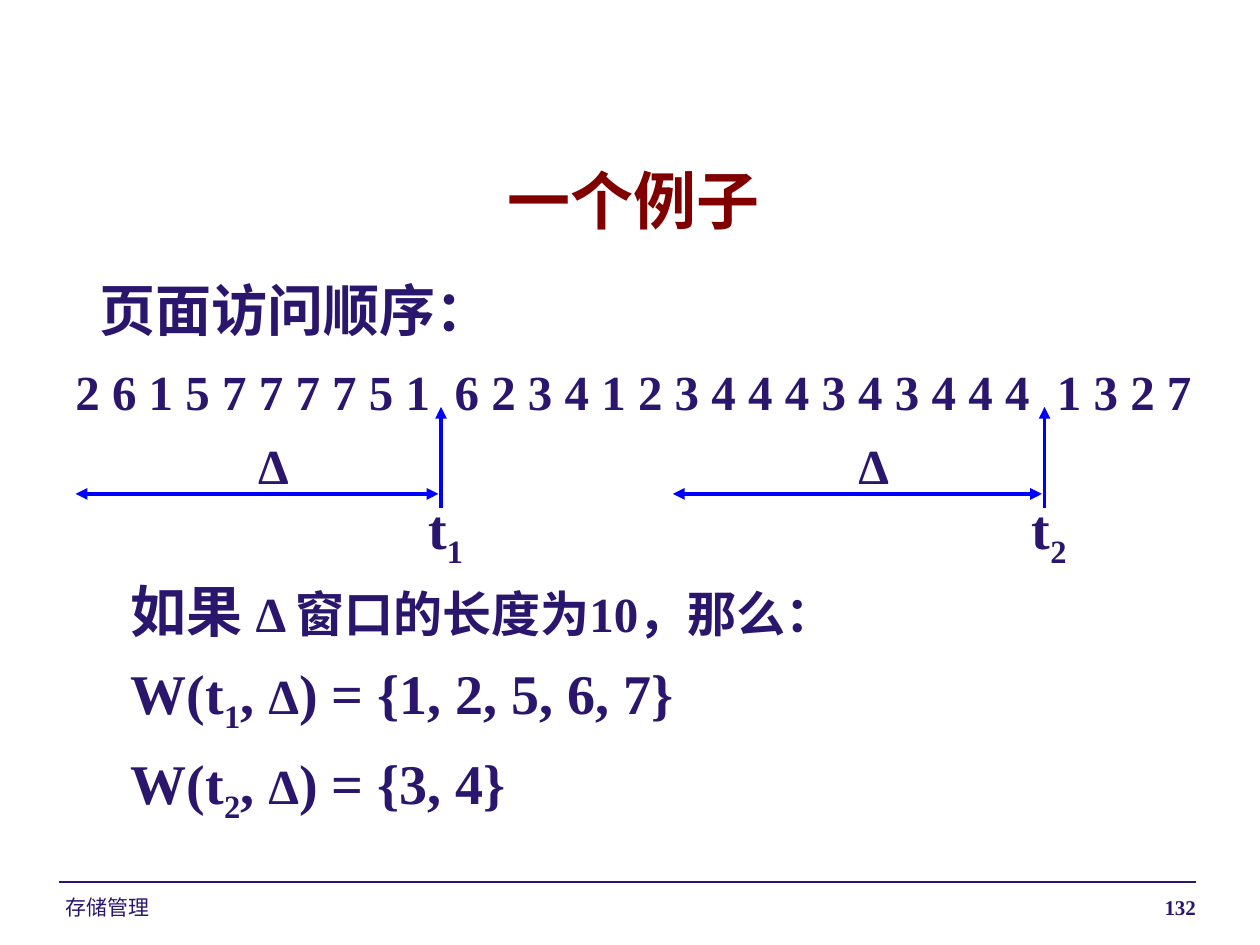
import pptx
import pptx.util
import pptx.dml.color
import pptx.enum.shapes
import pptx.enum.text
import pptx.oxml.ns
import lxml.etree

HUE = {"ink": "2B166E", "title": "800000", "arrow": "0000FF"}
SERIF, SANS, HAN = "Times New Roman", "Arial", "Noto Sans CJK SC"
ALIGN = pptx.enum.text.PP_ALIGN
WIDE, HIGH = pptx.util.Inches(10), pptx.util.Inches(7.5)
COL, ROW = WIDE / 100, HIGH / 75


def grid(x, y):
    return round(x * COL), round(y * ROW)


def tint(hue):
    return pptx.dml.color.RGBColor.from_string(HUE[hue])


def node(host, tag, **attrs):
    return lxml.etree.SubElement(host, pptx.oxml.ns.qn(tag), attrs)


def write(para, parts, hue="ink", face=SERIF, bold=True):
    for text, size, *low in parts:
        run = para.add_run()
        run.text = text
        font = run.font
        font.size, font.name, font.bold = pptx.util.Pt(size), face, bold
        font.color.rgb = tint(hue)
        props = font._element
        node(props, "a:ea", typeface=HAN)
        if low:
            props.set("baseline", "-25000")


def label(host, box, parts, wrap=False, align=ALIGN.LEFT, **style):
    x, y, w, h = box
    shape = host.shapes.add_textbox(*grid(x, y), *grid(w, h))
    frame = shape.text_frame
    frame.word_wrap = wrap
    para = frame.paragraphs[0]
    para.alignment = align
    write(para, parts, **style)
    return frame


def line(host, start, end, hue, width, heads=()):
    link = host.shapes.add_connector(
        pptx.enum.shapes.MSO_CONNECTOR.STRAIGHT, *grid(*start), *grid(*end))
    link.line.color.rgb = tint(hue)
    link.line.width = pptx.util.Pt(width)
    for head in heads:
        node(link.line._get_or_add_ln(), head, type="triangle")
    node(link._element.spPr, "a:effectLst")


def title(slide, box):
    x, y, w, h = box
    shape = slide.shapes.title
    shape.left, shape.top = grid(x, y)
    shape.width, shape.height = grid(w, h)
    frame = shape.text_frame
    frame.word_wrap = True
    frame.vertical_anchor = pptx.enum.text.MSO_ANCHOR.TOP
    para = frame.paragraphs[0]
    para.alignment = ALIGN.CENTER
    write(para, [("一个例子", 36)], hue="title", face=HAN)


def order(slide, box):
    x, y, w, h = box
    label(slide, (x + 1.9, y, 33.2, 6.3), [("页面访问顺序：", 32)])
    text = "2 6 1 5 7 7 7 7 5 1\t6 2 3 4 1 2 3 4 4 4 3 4 3 4 4 4\t1 3 2 7"
    frame = label(slide, (x, y + 6.8, w, h - 6.8), [(text, 28)], wrap=True)
    stops = node(frame.paragraphs[0]._p.get_or_add_pPr(), "a:tabLst")
    for stop in (30.1, 77.9):
        node(stops, "a:tab", pos=str(round(stop * COL)), algn="l")


def window(slide, box, index):
    x, y, w, h = box
    group = slide.shapes.add_group_shape()
    right, mid = x + w, y + 6.9
    line(group, (x, mid), (right - 0.2, mid), "arrow", 2.25,
         ("a:headEnd", "a:tailEnd"))
    line(group, (right, y + h), (right, y), "arrow", 2.25, ("a:tailEnd",))
    label(group, (x + w / 2 - 1, y + 1.8, 4.5, 5.7), [("Δ", 28)])
    label(group, (right - 2, y + 6.4, 4.9, 6.3),
          [("t", 32), (index, 32, True)])


def result(slide, box):
    frame = label(slide, box, [("如果 ", 32), ("Δ 窗口的长度为10，那么：", 28)],
                  wrap=True)
    for index, pages in (("1", "1, 2, 5, 6, 7"), ("2", "3, 4")):
        para = frame.add_paragraph()
        para.space_before = pptx.util.Pt(8)
        write(para, [("W(t", 32), (index, 32, True), (", ", 32), ("Δ", 28),
                     (") = {" + pages + "}", 32)])


def footer(slide, box):
    x, y, w, h = box
    line(slide, (x, y), (x + w, y), "ink", 0.75)
    label(slide, (x - 0.5, y + 0.5, w / 4, h), [("存储管理", 12)],
          wrap=True, face=SANS, bold=False)
    label(slide, (x + w * 2 / 3, y + 0.5, w / 3 + 1, h), [("132", 12)],
          wrap=True, align=ALIGN.RIGHT)


def main():
    deck = pptx.Presentation()
    deck.slide_width, deck.slide_height = WIDE, HIGH
    slide = deck.slides.add_slide(deck.slide_layouts[5])
    footer(slide, (4.7, 70, 90.2, 2.4))
    title(slide, (37.4, 12.3, 25.8, 7.1))
    order(slide, (5, 21.4, 91, 12.5))
    window(slide, (6, 32.3, 29, 8), "1")
    window(slide, (53.4, 32.3, 29.5, 8), "2")
    result(slide, (9.4, 45.3, 80, 22))
    deck.save("out.pptx")


if __name__ == "__main__":
    main()
